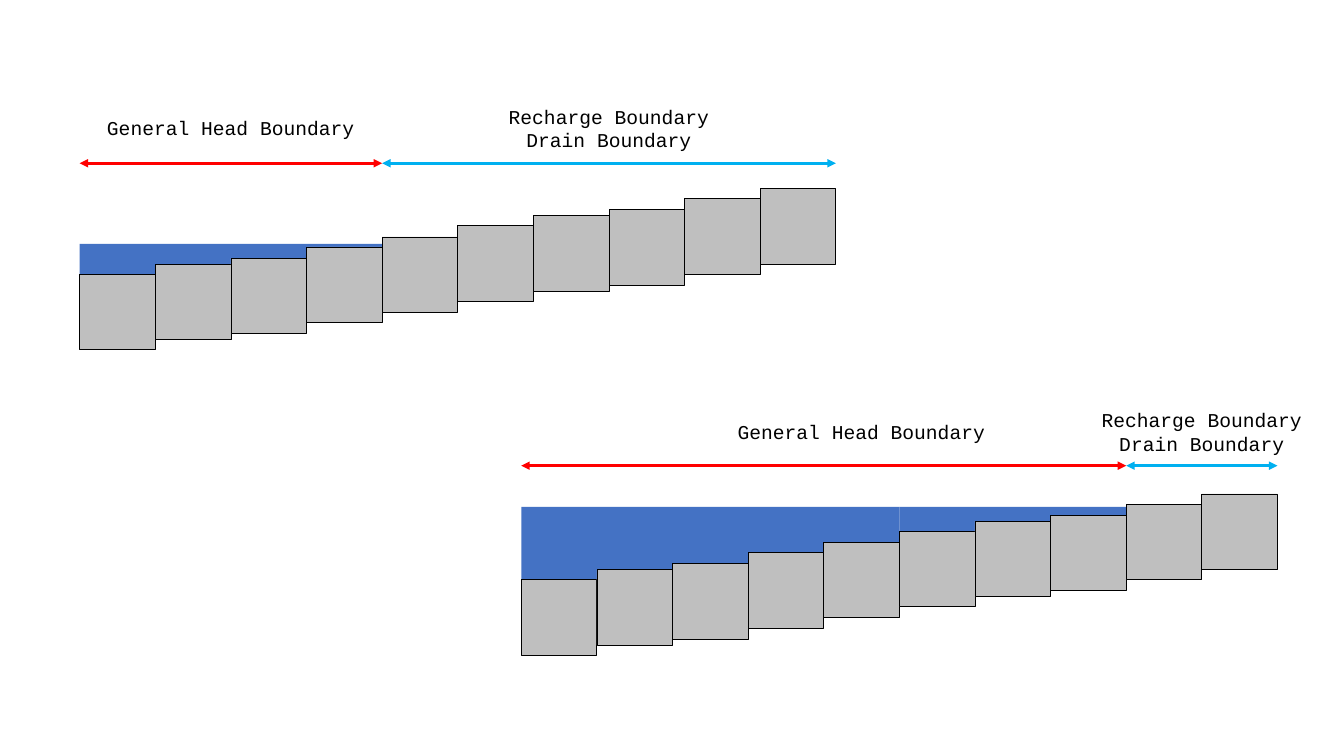
from lxml import etree
from pptx import Presentation, util as u
from pptx.dml.color import RGBColor
from pptx.enum import shapes, text
from pptx.oxml.ns import qn

WATER = RGBColor(0x44, 0x72, 0xC4)
GROUND = RGBColor(0xBF, 0xBF, 0xBF)
BLACK = RGBColor(0, 0, 0)
RED = RGBColor(0xFF, 0, 0)
SKY = RGBColor(0, 0xB0, 0xF0)

CELL = 0.75
LABEL_WIDTH = 2.67
COLUMNS = 10
RISES = [0, 0.1, 0.16, 0.27, 0.37, 0.48, 0.58, 0.64, 0.75, 0.85]
HEAD = ["General Head Boundary"]
RECHARGE = ["Recharge Boundary", "Drain Boundary"]

# Horizontal places are cell columns counted from the left of each section.
# water: (first column, columns, depth); label_column: centre of the head label
SECTIONS = [
    dict(left=0.79, ground=2.72, surface=2.42, water=[(0, 4, 0.44)],
         arrow=1.62, shore=4, label_column=2, head_top=1.1, recharge_top=0.99),
    dict(left=5.17, ground=5.75, surface=5.03, water=[(5, 4, 0.57), (0, 5, 0.87)],
         arrow=4.62, shore=8, label_column=4.5, head_top=4.12, recharge_top=4),
]

prs = Presentation()
prs.slide_width, prs.slide_height = u.Inches(13.33), u.Inches(7.5)
slide = prs.slides.add_slide(prs.slide_layouts[6])


def add_block(left, top, width, height, colour):
    block = slide.shapes.add_shape(
        shapes.MSO_SHAPE.RECTANGLE, *map(u.Inches, (left, top, width, height)))
    block.shadow.inherit = False
    block.fill.solid()
    block.fill.fore_color.rgb = colour
    return block


for section in SECTIONS:
    left, arrow_y, shore = section["left"], section["arrow"], section["shore"]

    for first, columns, depth in section["water"]:
        water = add_block(left + first * CELL, section["surface"],
                          columns * CELL, depth, WATER)
        water.line.fill.background()

    for column, rise in enumerate(RISES):
        cell = add_block(left + column * CELL, section["ground"] - rise,
                         CELL, CELL, GROUND)
        cell.line.color.rgb = BLACK
        cell.line.width = u.Pt(0.5)

    boundaries = [
        (0, shore, RED, HEAD, section["label_column"], section["head_top"], 0.34),
        (shore, COLUMNS, SKY, RECHARGE, (shore + COLUMNS) / 2,
         section["recharge_top"], 0.57),
    ]
    for start, end, colour, lines, centre, label_top, label_height in boundaries:
        extent = slide.shapes.add_connector(
            shapes.MSO_CONNECTOR.STRAIGHT,
            u.Inches(left + start * CELL), u.Inches(arrow_y),
            u.Inches(left + end * CELL), u.Inches(arrow_y))
        extent.line.color.rgb = colour
        extent.line.width = u.Pt(2)
        for tip in ("a:headEnd", "a:tailEnd"):
            etree.SubElement(extent.line._get_or_add_ln(), qn(tip), type="triangle")
        etree.SubElement(extent._element.spPr, qn("a:effectLst"))

        label = slide.shapes.add_textbox(
            u.Inches(left + centre * CELL - LABEL_WIDTH / 2), u.Inches(label_top),
            u.Inches(LABEL_WIDTH), u.Inches(label_height))
        frame = label.text_frame
        frame.word_wrap = len(lines) > 1
        frame.auto_size = text.MSO_AUTO_SIZE.SHAPE_TO_FIT_TEXT
        for number, wording in enumerate(lines):
            paragraph = frame.add_paragraph() if number else frame.paragraphs[0]
            paragraph.alignment = text.PP_ALIGN.CENTER
            run = paragraph.add_run()
            run.text = wording
            run.font.name = "Courier New"
            run.font.size = u.Pt(14)
            run.font.color.rgb = BLACK

prs.save("out.pptx")
